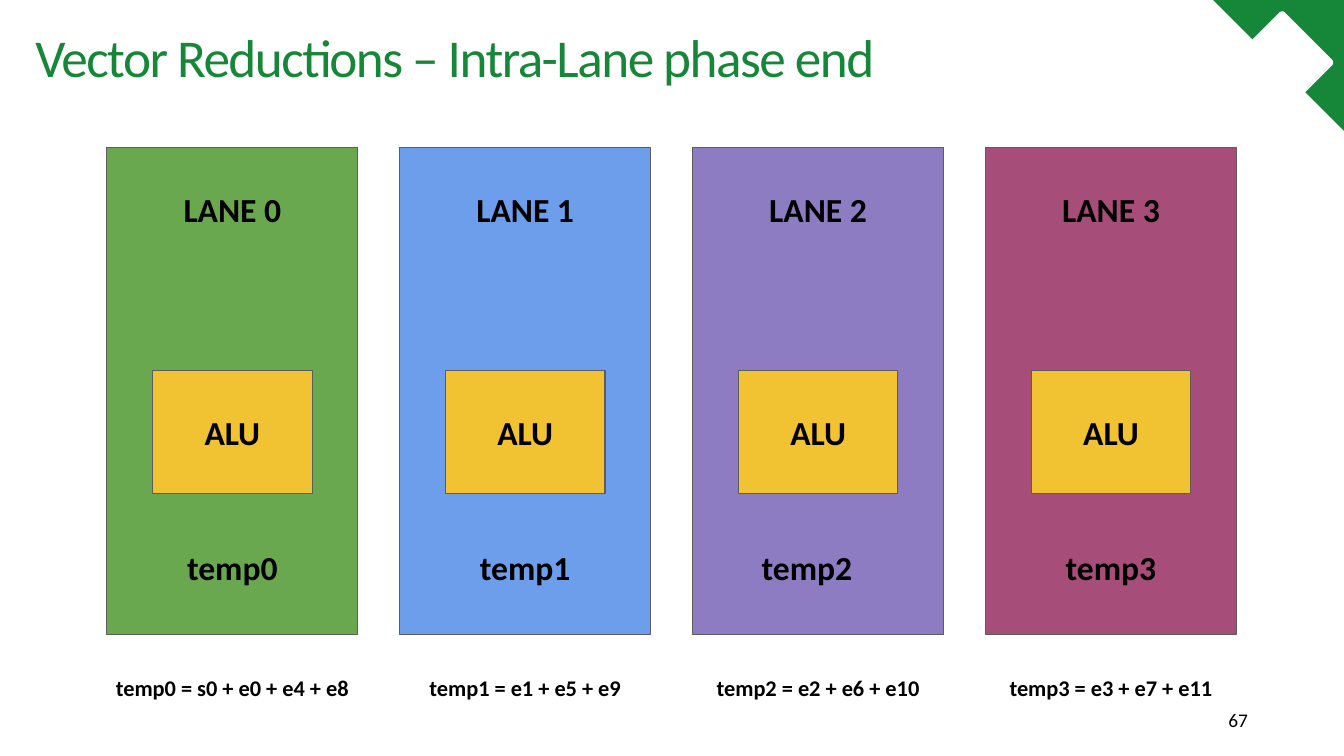
import pptx
import pptx.dml.color
import pptx.enum.shapes
import pptx.enum.text
import pptx.util

Pt = pptx.util.Pt
Preset = pptx.enum.shapes.MSO_SHAPE
Align = pptx.enum.text.PP_ALIGN
Anchor = pptx.enum.text.MSO_ANCHOR

COLORS = {
    "brand": "168638",
    "paper": "FFFFFF",
    "ink": "000000",
    "outline": "5D5D5D",
    "alu": "F1C232",
}
LANES = [
    ("6AA84F", "temp0 = s0 + e0 + e4 + e8"),
    ("6D9EEB", "temp1 = e1 + e5 + e9"),
    ("8E7CC3", "temp2 = e2 + e6 + e10"),
    ("A64D79", "temp3 = e3 + e7 + e11"),
]
COLORS.update({f"lane{i}": color for i, (color, _) in enumerate(LANES)})

FIRST_CENTER, LANE_PITCH = 166, 209.2
LANE_WIDTH = 179.2
TEMP_SHIFTS = {2: -8}  # the temp2 label sits left of its lane's center


class SlideBuilder:
    font_name = "Calibri"
    inset = 9.6

    def __init__(self, slide):
        self.slide = slide

    def color(self, name):
        return pptx.dml.color.RGBColor.from_string(COLORS[name])

    def set_text(self, owner, text, size, color="ink", bold=False,
                 align=Align.CENTER, anchor=Anchor.TOP, inset=inset):
        frame = owner.text_frame
        frame.word_wrap = True
        frame.vertical_anchor = anchor
        frame.margin_left = frame.margin_right = Pt(inset)
        frame.margin_top = frame.margin_bottom = Pt(inset)
        paragraph = frame.paragraphs[0]
        paragraph.text = text
        paragraph.alignment = align
        paragraph.font.name = self.font_name
        paragraph.font.size = Pt(size)
        paragraph.font.bold = bold
        paragraph.font.color.rgb = self.color(color)
        return paragraph

    def shape(self, preset, left, top, width, height, fill,
              outline=None, rotation=0, adjustment=None):
        shape = self.slide.shapes.add_shape(
            preset, Pt(left), Pt(top), Pt(width), Pt(height))
        shape.shadow.inherit = False
        shape.rotation = rotation
        if adjustment is not None:
            shape.adjustments[0] = adjustment
        shape.fill.solid()
        shape.fill.fore_color.rgb = self.color(fill)
        if outline:
            shape.line.color.rgb = self.color(outline)
            shape.line.width = Pt(0.75)
        else:
            shape.line.fill.background()
        return shape

    def block(self, center, top, width, height, fill):
        """Add an outlined rectangle centered on a lane axis."""
        return self.shape(Preset.RECTANGLE, center - width / 2, top,
                          width, height, fill, outline="outline")

    def text(self, left, top, width, height, text, size, **style):
        box = self.slide.shapes.add_textbox(
            Pt(left), Pt(top), Pt(width), Pt(height))
        return self.set_text(box, text, size, **style)

    def label(self, center, top, width, height, text, size):
        """Add bold text centered on a lane axis."""
        self.text(center - width / 2, top, width, height, text, size, bold=True)

    def corner(self):
        self.shape(Preset.ISOSCELES_TRIANGLE, 866.6, 0, 93.4, 93.4, "brand",
                   rotation=270, adjustment=1)
        for left, top, side in [(872.6, 30.2, 29.5), (889.2, 18, 53.3)]:
            self.shape(Preset.ROUNDED_RECTANGLE, left, top, side, side, "paper",
                       rotation=45, adjustment=0.05)

    def title(self, text):
        heading = self.text(25.2, 14.4, 840, 51.8, text, 38, color="brand",
                            align=Align.LEFT, anchor=Anchor.MIDDLE, inset=0)
        heading.runs[0].font._element.set("spc", "-110")

    def lane(self, index, formula):
        center = FIRST_CENTER + index * LANE_PITCH
        self.block(center, 105.4, LANE_WIDTH, 348, f"lane{index}")
        self.label(center, 125.3, 111, 48.2, f"LANE {index}", 24)
        alu = self.block(center, 264.7, 114, 87.8, "alu")
        self.set_text(alu, "ALU", 24, bold=True, anchor=Anchor.MIDDLE)
        self.label(center + TEMP_SHIFTS.get(index, 0), 380.9, LANE_WIDTH, 48.2,
                   f"temp{index}", 24)
        self.label(center, 471.6, 242, 38.9, formula, 16)


def main():
    deck = pptx.Presentation()
    deck.slide_width, deck.slide_height = Pt(960), Pt(540)
    builder = SlideBuilder(deck.slides.add_slide(deck.slide_layouts[6]))

    builder.corner()
    builder.title("Vector Reductions – Intra-Lane phase end")
    for index, (_, formula) in enumerate(LANES):
        builder.lane(index, formula)
    builder.text(870.5, 496, 28, 36.7, "67", 13.8,
                 anchor=Anchor.MIDDLE, inset=0)

    deck.save("out.pptx")


if __name__ == "__main__":
    main()
